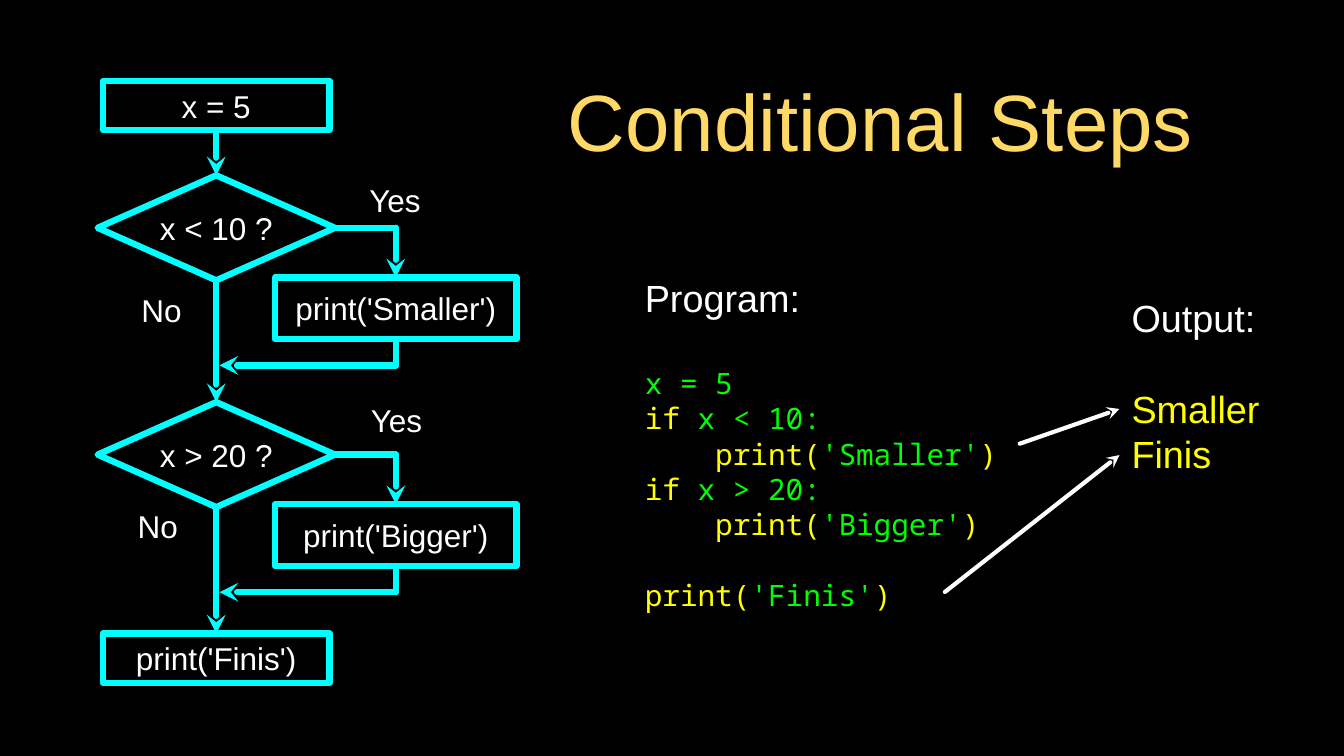
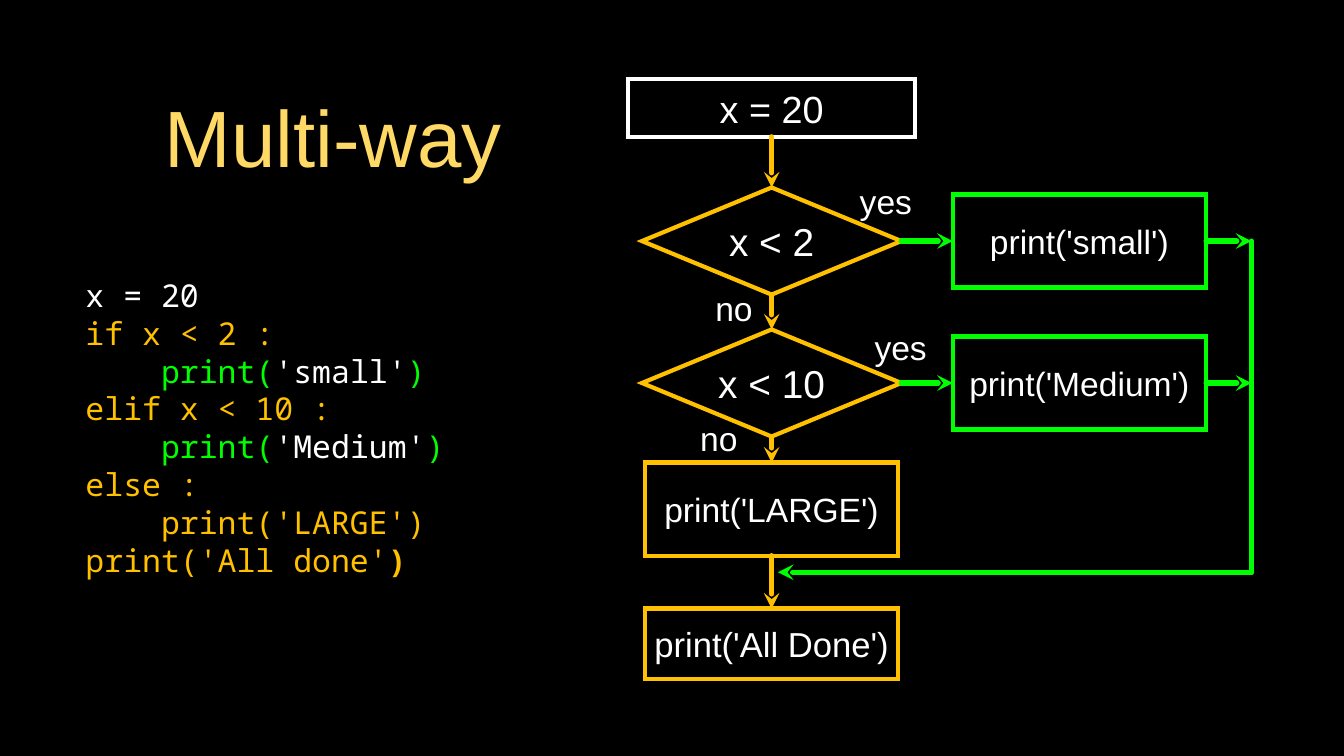
from lxml import etree
from pptx import Presentation
from pptx.dml.color import RGBColor
from pptx.enum.shapes import MSO_CONNECTOR, MSO_SHAPE
from pptx.enum.text import MSO_ANCHOR, MSO_AUTO_SIZE, PP_ALIGN
from pptx.oxml.ns import qn
from pptx.util import Pt

RECTANGLE, DIAMOND = MSO_SHAPE.RECTANGLE, MSO_SHAPE.DIAMOND
STRAIGHT = MSO_CONNECTOR.STRAIGHT
LEFT, CENTER = PP_ALIGN.LEFT, PP_ALIGN.CENTER
TOP_SIDE, LEFT_SIDE, BOTTOM_SIDE, RIGHT_SIDE = range(4)
TITLE_ONLY = 5

BLACK = RGBColor(0x00, 0x00, 0x00)
WHITE = RGBColor(0xFF, 0xFF, 0xFF)
CYAN = RGBColor(0x00, 0xFF, 0xFF)
GREEN = RGBColor(0x00, 0xFF, 0x00)
YELLOW = RGBColor(0xFF, 0xFF, 0x00)
ORANGE = RGBColor(0xFF, 0xC0, 0x00)
TITLE_GOLD = RGBColor(0xFF, 0xD9, 0x66)

SANS, MONO = "Arial", "Noto Sans Mono"
SLIDE_WIDTH, SLIDE_HEIGHT = 1280.16, 720
LINE_FACTOR = 1.2


def print_call(argument, call_color, argument_color, indent="    "):
    """Return the coloured runs of one print statement."""
    return [(indent + "print(", call_color), (argument, argument_color), (")", call_color)]


# Text blocks: (font, size, space before, runs) for each line
PROGRAM = [
    (SANS, 36, 0, [("Program:", WHITE)]),
    (MONO, 28, 43.2, [("x = 5", GREEN)]),
    (MONO, 28, 0, [("if ", YELLOW), ("x < 10:", GREEN)]),
    (MONO, 28, 0, print_call("'Smaller'", YELLOW, GREEN)),
    (MONO, 28, 0, [("if ", YELLOW), ("x > 20:", GREEN)]),
    (MONO, 28, 0, print_call("'Bigger'", YELLOW, GREEN)),
    (MONO, 28, 33.6, print_call("'Finis'", YELLOW, GREEN, indent="")),
]
OUTPUT = [
    (SANS, 36, 0, [("Output:", WHITE)]),
    (SANS, 36, 43.2, [("Smaller", YELLOW)]),
    (SANS, 36, 0, [("Finis", YELLOW)]),
]
MULTI_WAY_RUNS = [
    [("x = 20", WHITE)],
    [("if x < 2 :", ORANGE)],
    print_call("'small'", GREEN, WHITE),
    [("elif x < 10 :", ORANGE)],
    print_call("'Medium'", GREEN, WHITE),
    [("else :", ORANGE)],
    [("    print('LARGE')", ORANGE)],
    [("print('All done'", ORANGE), (")", ORANGE, True)],
]
MULTI_WAY_CODE = [(MONO, 30, 0, runs) for runs in MULTI_WAY_RUNS]

# Decisions of slide 1: question, action, top left of the "Yes" and "No" labels
STEPS = [
    ("x < 10 ?", "print('Smaller')", (347.8, 166.3), (125.3, 274)),
    ("x > 20 ?", "print('Bigger')", (349.2, 375.1), (121.7, 480.2)),
]
STEP_TOP, STEP_PITCH, STEP_CENTER = 167, 216, 206
OUTPUT_ARROWS = [((971.3, 422.6), (1066.3, 389.5)), ((900, 563.8), (1066.3, 433.4))]

# Decisions of slide 2: question, action, left and top of "yes" and "no" labels
BRANCHES = [
    ("x < 2", "print('small')", (816.5, 172.1, 54.7), (680.4, 274.3, 37.4)),
    ("x < 10", "print('Medium')", (827.3, 311, 61.2), (666, 398.2, 37.4)),
]
BRANCH_TOP, BRANCH_PITCH, BRANCH_CENTER = 178.6, 135.2, 735
RAIL_X, RAIL_BOTTOM = 1192, 545


def set_all(target, values):
    for name, value in values.items():
        setattr(target, name, value)


def format_frame(frame, inset=0, wrap=True):
    margins = {f"margin_{side}": Pt(inset) for side in ("left", "top", "right", "bottom")}
    set_all(frame, {**margins, "word_wrap": wrap, "auto_size": MSO_AUTO_SIZE.NONE,
                    "vertical_anchor": MSO_ANCHOR.MIDDLE})


def add_run(paragraph, text, font, size, color, bold=None):
    run = paragraph.add_run()
    run.text = text
    set_all(run.font, {"name": font, "size": Pt(size), "bold": bold})
    run.font.color.rgb = color


def write_centered(shape, text, size, color=WHITE, **frame_format):
    format_frame(shape.text_frame, **frame_format)
    paragraph = shape.text_frame.paragraphs[0]
    paragraph.alignment = CENTER
    add_run(paragraph, text, SANS, size, color)


def add_titled_slide(presentation, title, bounds):
    slide = presentation.slides.add_slide(presentation.slide_layouts[TITLE_ONLY])
    placeholder = slide.shapes.title
    set_all(placeholder, dict(zip(("left", "top", "width", "height"), map(Pt, bounds))))
    write_centered(placeholder, title, 76, TITLE_GOLD, inset=3)
    return slide


def add_text_block(slide, lines, bounds):
    frame = slide.shapes.add_textbox(*map(Pt, bounds)).text_frame
    format_frame(frame)
    for index, (font, size, space_before, runs) in enumerate(lines):
        paragraph = frame.add_paragraph() if index else frame.paragraphs[0]
        set_all(paragraph, {"alignment": LEFT, "space_before": Pt(space_before),
                            "line_spacing": Pt(size * LINE_FACTOR)})
        for text, *style in runs:
            add_run(paragraph, text, font, size, *style)


def add_label(slide, text, size, bounds):
    label = slide.shapes.add_textbox(*map(Pt, bounds))
    write_centered(label, text, size, wrap=False)


def add_node(slide, kind, text, size, bounds, color, weight, join="round"):
    """Add an unfilled flowchart node with centred text."""
    node = slide.shapes.add_shape(kind, *map(Pt, bounds))
    node.shadow.inherit = False
    node.fill.background()
    node.line.color.rgb = color
    node.line.width = Pt(weight)
    etree.SubElement(node.get_or_add_ln(), qn(f"a:{join}"))
    write_centered(node, text, size, wrap=False)
    return node


def add_line(slide, start, end, color, weight, arrow=True):
    """Draw a line; each end is an (x, y) point or a (shape, side) pair."""
    line = slide.shapes.add_connector(STRAIGHT, 0, 0, 0, 0)
    ends = (("begin", start, line.begin_connect), ("end", end, line.end_connect))
    for name, (first, second), connect in ends:
        if isinstance(first, (int, float)):
            set_all(line, {f"{name}_x": Pt(first), f"{name}_y": Pt(second)})
        else:
            connect(first, second)
    line.line.color.rgb = color
    line.line.width = Pt(weight)
    outline = line.get_or_add_ln()
    outline.set("cap", "rnd")
    etree.SubElement(outline, qn("a:round"))
    if arrow:
        etree.SubElement(outline, qn("a:tailEnd"), type="stealth")
    etree.SubElement(line._element.spPr, qn("a:effectLst"))


def add_chain(slide, nodes, color, weight):
    """Join each node to the next one below it."""
    for upper, lower in zip(nodes, nodes[1:]):
        add_line(slide, (upper, BOTTOM_SIDE), (lower, TOP_SIDE), color, weight)


def build_conditional_steps(presentation):
    slide = add_titled_slide(presentation, "Conditional Steps", (460.8, 60.5, 755.3, 107.3))
    add_text_block(slide, OUTPUT, (1077.8, 280.8, 124.6, 172.1))
    add_text_block(slide, PROGRAM, (614.2, 226.1, 357.1, 392.4))

    def add_step_node(kind, text, *bounds):
        return add_node(slide, kind, text, 30, bounds, CYAN, 6)

    spine = [add_step_node(RECTANGLE, "x = 5", STEP_CENTER - 108, 77, 216, 47)]
    for index, (question, action, yes_at, no_at) in enumerate(STEPS):
        top = STEP_TOP + index * STEP_PITCH
        decision = add_step_node(DIAMOND, question, STEP_CENTER - 113, top, 226, 100)
        action_box = add_step_node(RECTANGLE, action, 262, top + 97.2, 230, 59)
        corner, return_corner = (377, top + 50), (377, top + 181)
        for start, end, arrow in (
            ((decision, RIGHT_SIDE), corner, False),
            (corner, (action_box, TOP_SIDE), True),
            ((action_box, BOTTOM_SIDE), return_corner, False),
            (return_corner, (STEP_CENTER + 3, top + 181), True),
        ):
            add_line(slide, start, end, CYAN, 6, arrow)
        add_label(slide, "Yes", 30, (*yes_at, 57, 49))
        add_label(slide, "No", 30, (*no_at, 57, 42))
        spine.append(decision)
    spine.append(add_step_node(RECTANGLE, "print('Finis')", STEP_CENTER - 108, 603.4, 216, 47))
    add_chain(slide, spine, CYAN, 6)
    for start, end in OUTPUT_ARROWS:
        add_line(slide, start, end, WHITE, 4)


def build_multi_way(presentation):
    slide = add_titled_slide(presentation, "Multi-way", (90.7, 59, 453.6, 141.1))
    add_text_block(slide, MULTI_WAY_CODE, (81.4, 231.1, 401.8, 351.4))

    def add_spine_node(kind, text, size, top, width, height, color=ORANGE):
        bounds = (BRANCH_CENTER - width / 2, top, width, height)
        return add_node(slide, kind, text, size, bounds, color, 4, "miter")

    spine = [add_spine_node(RECTANGLE, "x = 20", 36, 75.6, 273, 54.7, WHITE)]
    for index, (question, action, yes_at, no_at) in enumerate(BRANCHES):
        top = BRANCH_TOP + index * BRANCH_PITCH
        middle = top + 51
        decision = add_spine_node(DIAMOND, question, 37, top, 247, 102)
        action_box = add_node(slide, RECTANGLE, action, 32, (907.6, middle - 44.3, 241.2, 88.6),
                              GREEN, 4, "miter")
        add_line(slide, (decision, RIGHT_SIDE), (action_box, LEFT_SIDE), GREEN, 5)
        add_line(slide, (action_box, RIGHT_SIDE), (RAIL_X, middle), GREEN, 5)
        add_label(slide, "yes", 32, (*yes_at, 38.9))
        add_label(slide, "no", 32, (*no_at, 38.9))
        spine.append(decision)
    spine.append(add_spine_node(RECTANGLE, "print('LARGE')", 32, 440.6, 241.2, 88.6))
    spine.append(add_spine_node(RECTANGLE, "print('All Done')", 33, 579.6, 241.2, 67))
    add_chain(slide, spine, ORANGE, 5)
    rail_end = (RAIL_X, RAIL_BOTTOM)
    add_line(slide, (RAIL_X, BRANCH_TOP + 51), rail_end, GREEN, 5, arrow=False)
    add_line(slide, rail_end, (BRANCH_CENTER + 6, RAIL_BOTTOM), GREEN, 5)


def main():
    presentation = Presentation()
    set_all(presentation, {"slide_width": Pt(SLIDE_WIDTH), "slide_height": Pt(SLIDE_HEIGHT)})
    background = presentation.slide_master.background.fill
    background.solid()
    background.fore_color.rgb = BLACK
    build_conditional_steps(presentation)
    build_multi_way(presentation)
    presentation.save("out.pptx")


if __name__ == "__main__":
    main()
